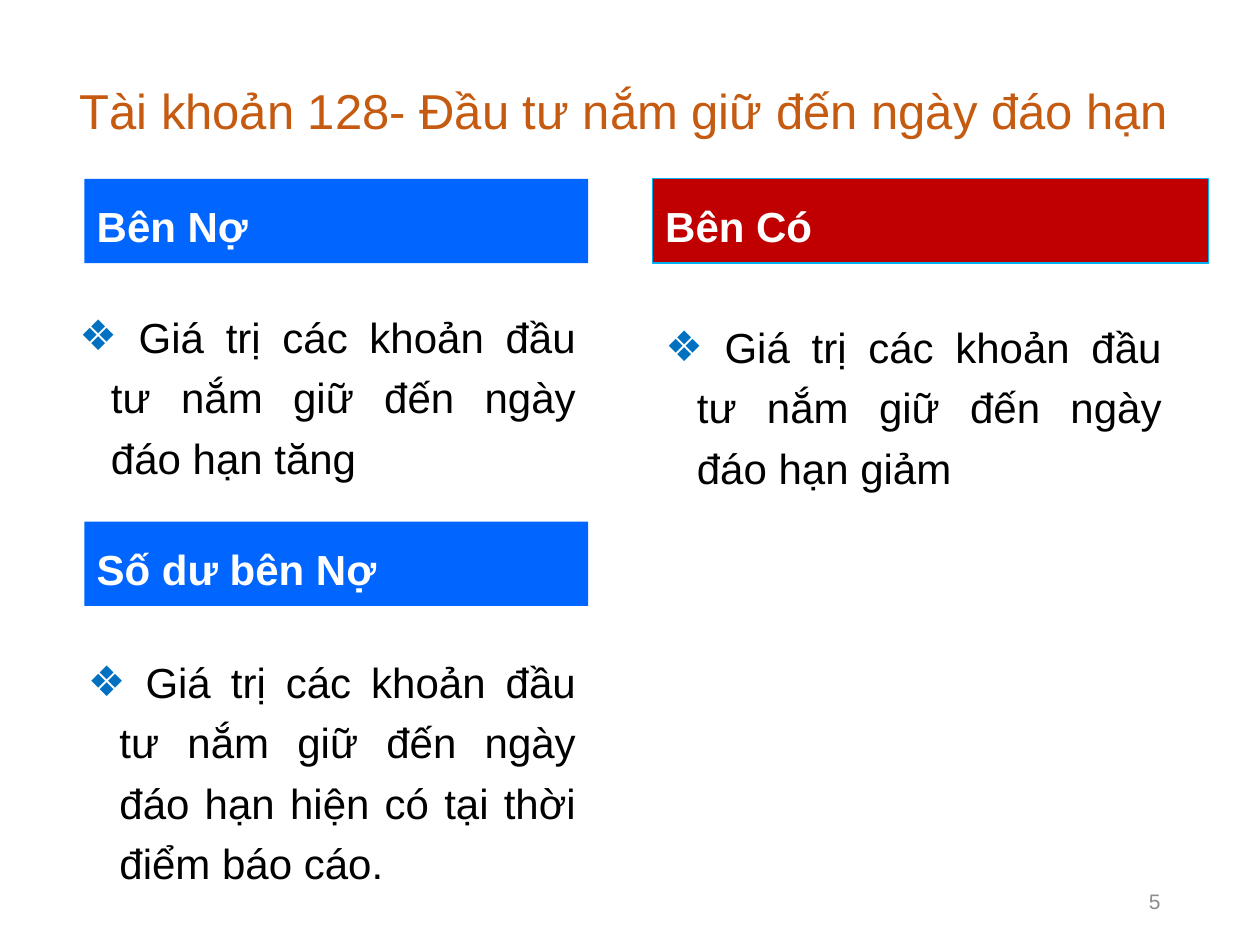
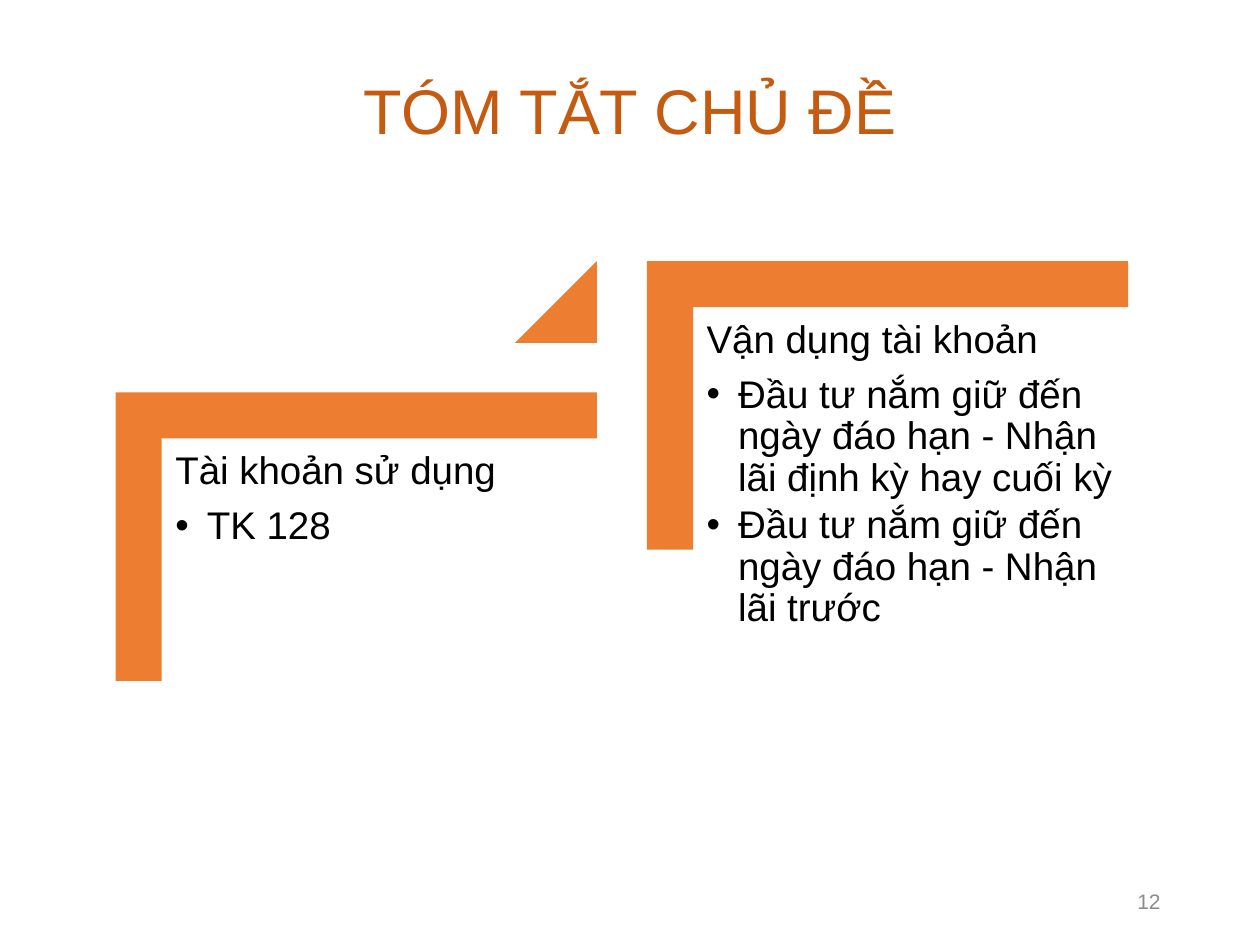
import pptx
import pptx.dml.color
import pptx.enum.shapes
import pptx.enum.text
import pptx.oxml.ns
import pptx.util
from lxml import etree

Pt = pptx.util.Pt
ALIGN = pptx.enum.text.PP_ALIGN
ANCHOR = pptx.enum.text.MSO_ANCHOR
SHAPE = pptx.enum.shapes.MSO_SHAPE

# Shared look
FONT = "Arial"
TITLE_BROWN, DEBIT_BLUE, CREDIT_RED = "C55A11", "0066FF", "C00000"
CREDIT_EDGE, DIAMOND_BLUE, STEP_ORANGE = "00B0F0", "0070C0", "ED7D31"
BLACK, WHITE, NUMBER_GREY = "000000", "FFFFFF", "8C8C8C"
TWO_CONTENT = 3
HANGING = 18

# Account columns, and steps of the summary
DEBIT_LEFT, CREDIT_LEFT = 48.2, 373
BAND_HEIGHT = 48.2
STEP_WIDTH, STEP_HEIGHT, STEP_ARM = 275, 164.9, 26.6
TRIANGLE_SIDE = 46.8


def color(hex_code):
    return pptx.dml.color.RGBColor.from_string(hex_code)


def place(shape, left, top, width, height):
    shape.left, shape.top = Pt(left), Pt(top)
    shape.width, shape.height = Pt(width), Pt(height)


def set_bullet(paragraph, mark=None, mark_color=BLACK):
    """Give the paragraph a hanging bullet, or none."""
    properties = paragraph._p.get_or_add_pPr()
    indent = HANGING if mark else 0
    properties.set("marL", str(Pt(indent)))
    properties.set("indent", str(Pt(-indent)))

    def add(tag, parent=properties, **attributes):
        return etree.SubElement(parent, pptx.oxml.ns.qn(tag), **attributes)

    if mark:
        add("a:srgbClr", add("a:buClr"), val=mark_color)
        add("a:buFont", typeface=FONT)
        add("a:buChar", char=mark)
    else:
        add("a:buNone")


def write(paragraph, text, size=24, ink=BLACK, bold=False, align=ALIGN.LEFT,
          spacing=1.0, after=0, bullet=None, bullet_color=BLACK, level=0):
    paragraph.level = level
    set_bullet(paragraph, bullet, bullet_color)
    paragraph.alignment = align
    paragraph.line_spacing = spacing
    paragraph.space_before, paragraph.space_after = Pt(0), Pt(after)
    run = paragraph.add_run()
    run.text = text
    run.font.name, run.font.size, run.font.bold = FONT, Pt(size), bold
    run.font.color.rgb = color(ink)


def prepare(shape, anchor=ANCHOR.TOP, inset=None):
    frame = shape.text_frame
    frame.word_wrap = True
    frame.auto_size = pptx.enum.text.MSO_AUTO_SIZE.NONE
    frame.vertical_anchor = anchor
    if inset is not None:
        frame.margin_left = frame.margin_right = Pt(inset)
        frame.margin_top = frame.margin_bottom = Pt(inset)
    return frame


def add_slide(deck, title, number, box, **title_format):
    """Start a slide with its title and page number."""
    slide = deck.slides.add_slide(deck.slide_layouts[TWO_CONTENT])
    place(slide.shapes.title, *box)
    frame = prepare(slide.shapes.title, ANCHOR.MIDDLE)
    write(frame.paragraphs[0], title, ink=TITLE_BROWN, **title_format)

    page_number = slide.shapes.add_textbox(Pt(508.3), Pt(500.4), Pt(162), Pt(28.8))
    frame = prepare(page_number, ANCHOR.MIDDLE)
    write(frame.paragraphs[0], number, size=12, ink=NUMBER_GREY, align=ALIGN.RIGHT)
    return slide


def add_figure(slide, kind, box, fill, edge=None):
    figure = slide.shapes.add_shape(kind, *map(Pt, box))
    figure.shadow.inherit = False
    figure.fill.solid()
    figure.fill.fore_color.rgb = color(fill)
    if edge:
        figure.line.color.rgb = color(edge)
        figure.line.width = Pt(0.75)
    else:
        figure.line.fill.background()
    return figure


def add_band(slide, text, left, top, width, fill, edge=None):
    band = add_figure(slide, SHAPE.RECTANGLE, (left, top, width, BAND_HEIGHT), fill, edge)
    frame = prepare(band, ANCHOR.MIDDLE)
    write(frame.paragraphs[0], text, ink=WHITE, bold=True, spacing=1.2)


def fill_entry(entry, text, *box):
    """Place a diamond-marked account entry."""
    place(entry, *box)
    write(prepare(entry).paragraphs[0], text, align=ALIGN.JUSTIFY, spacing=1.2,
          bullet="❖", bullet_color=DIAMOND_BLUE)


def add_step(slide, outline, left, top, heading, items):
    """Draw a corner bracket with its heading and list inside."""
    # The corner is turned a quarter, so its frame is upright about the same centre
    shift = (STEP_WIDTH - STEP_HEIGHT) / 2
    corner = add_figure(slide, SHAPE.CORNER,
                        (left + shift, top - shift, STEP_HEIGHT, STEP_WIDTH), STEP_ORANGE)
    corner.rotation = 90
    corner.adjustments[0] = corner.adjustments[1] = 0.16

    place(outline, left + STEP_ARM + 1, top + STEP_ARM + 0.4, 247.7, 217.4)
    frame = prepare(outline, inset=6.6)
    write(frame.paragraphs[0], heading, size=22, spacing=0.9, after=7.7)
    for item in items:
        write(frame.add_paragraph(), item, size=22, spacing=0.9, after=3.3,
              bullet="•", level=1)


def build_account(deck):
    slide = add_slide(deck, "Tài khoản 128- Đầu tư nắm giữ đến ngày đáo hạn", "5",
                      (38.2, 28.8, 651.6, 61.2), size=28, spacing=1.2)
    add_band(slide, "Bên Nợ", DEBIT_LEFT, 102.2, 288, DEBIT_BLUE)
    add_band(slide, "Bên Có", CREDIT_LEFT, 102.2, 317.5, CREDIT_RED, CREDIT_EDGE)
    add_band(slide, "Số dư bên Nợ", DEBIT_LEFT, 298.1, 288, DEBIT_BLUE)

    increase, decrease = slide.placeholders[1], slide.placeholders[2]
    balance = slide.shapes.add_textbox(0, 0, 0, 0)
    holding = " Giá trị các khoản đầu tư nắm giữ đến ngày đáo hạn "
    fill_entry(increase, holding + "tăng", 38.2, 168.5, 298, 103)
    fill_entry(decrease, holding + "giảm", CREDIT_LEFT, 174.3, 298, 103)
    fill_entry(balance, holding + "hiện có tại thời điểm báo cáo.", 43.2, 365.8, 293, 137.5)


def build_summary(deck):
    slide = add_slide(deck, "TÓM TẮT CHỦ ĐỀ", "12", (49.7, 28.8, 620.6, 72.7),
                      size=36, spacing=0.9, align=ALIGN.CENTER)
    first_left, first_top = 66, 224.2
    second_left, second_top = first_left + 303.6, first_top - 75
    add_step(slide, slide.placeholders[1], first_left, first_top,
             "Tài khoản sử dụng", ["TK 128"])
    # The triangle points up from the first step to the second
    rise = add_figure(slide, SHAPE.ISOSCELES_TRIANGLE,
                      (first_left + STEP_WIDTH - TRIANGLE_SIDE, second_top,
                       TRIANGLE_SIDE, TRIANGLE_SIDE), STEP_ORANGE)
    rise.adjustments[0] = 1
    investment = "Đầu tư nắm giữ đến ngày đáo hạn - Nhận lãi "
    add_step(slide, slide.placeholders[2], second_left, second_top,
             "Vận dụng tài khoản",
             [investment + "định kỳ hay cuối kỳ", investment + "trước"])


def main():
    deck = pptx.Presentation()
    deck.slide_width, deck.slide_height = Pt(720), Pt(540)
    build_account(deck)
    build_summary(deck)
    deck.save("out.pptx")


if __name__ == "__main__":
    main()
